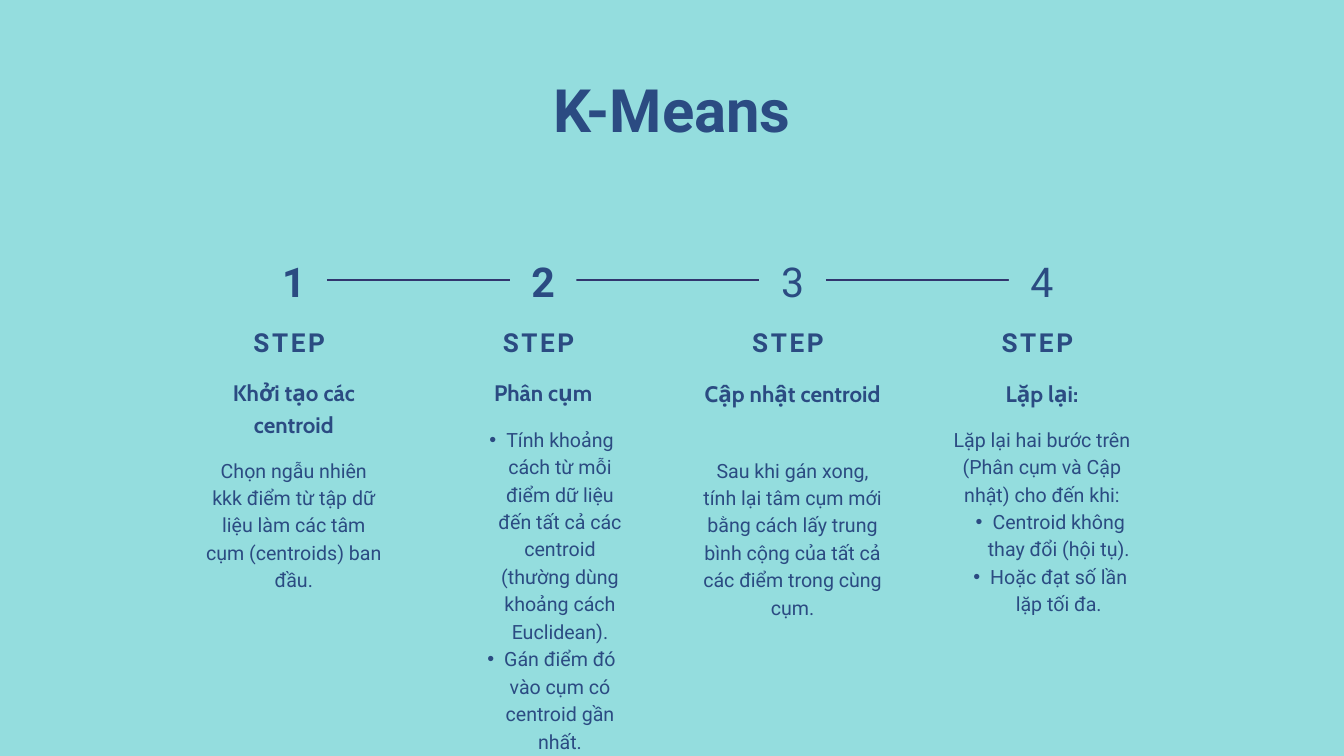
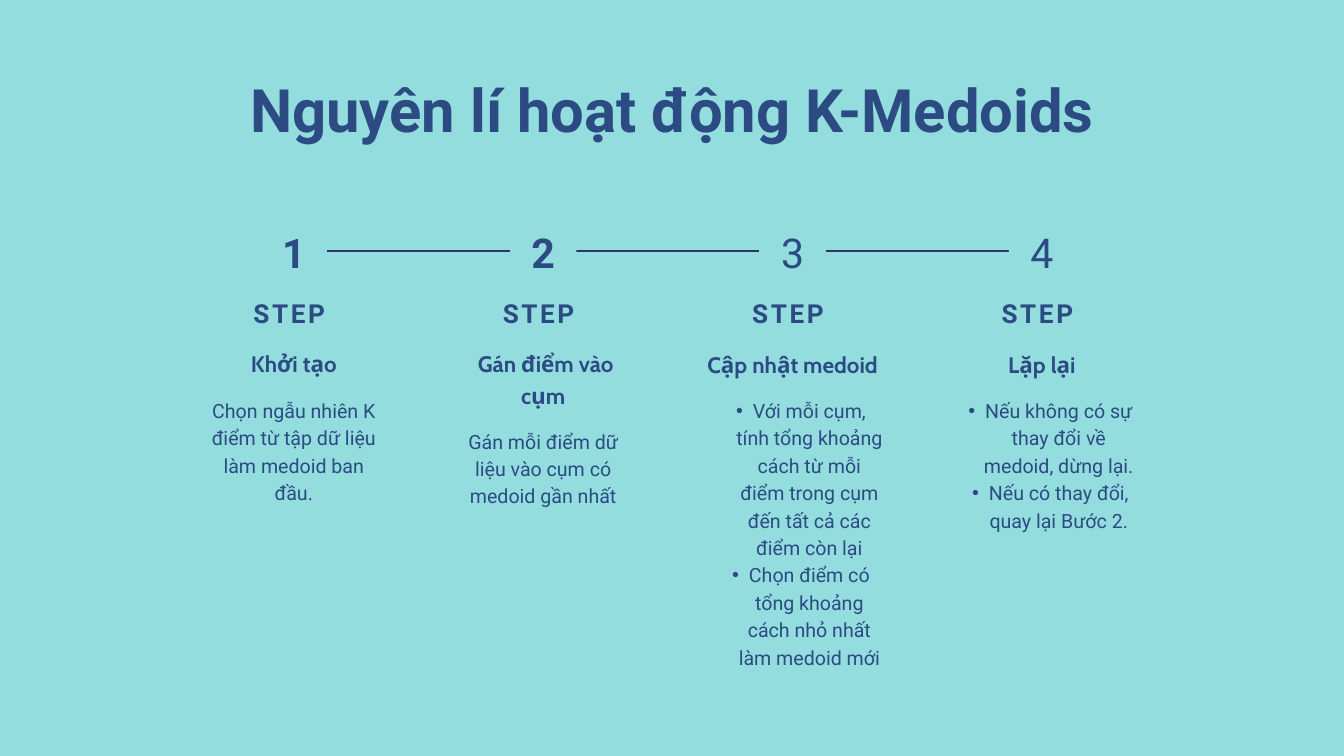
from dataclasses import dataclass

from lxml import etree
from pptx import Presentation
from pptx import util as u
from pptx.dml import color
from pptx.enum import shapes, text
from pptx.oxml import ns

Pt = u.Pt


@dataclass(frozen=True)
class TextStyle:
    size: float
    leading: float
    font: str = "Roboto"
    bold: bool = True
    tracking: float = 0


@dataclass(frozen=True)
class Theme:
    background: color.RGBColor = color.RGBColor(0x94, 0xDD, 0xDE)
    ink: color.RGBColor = color.RGBColor(0x2B, 0x4B, 0x82)
    rule: color.RGBColor = color.RGBColor(0x31, 0x35, 0x6E)
    rule_width: float = 2.25
    title: TextStyle = TextStyle(64, 67.2)
    numeral: TextStyle = TextStyle(44, 61.6, tracking=7.5)
    light_numeral: TextStyle = TextStyle(44, 61.6, bold=False, tracking=7.5)
    label: TextStyle = TextStyle(28, 39.2, tracking=2.8)
    heading: TextStyle = TextStyle(24, 33.6, font="Cabin")
    body: TextStyle = TextStyle(21, 29.4, bold=False)


@dataclass(frozen=True)
class Step:
    heading: str
    intro: str = ""
    bullets: tuple[str, ...] = ()
    heading_lines: int = 1


@dataclass(frozen=True)
class Process:
    title: str
    timeline_y: float
    steps: tuple[Step, ...]


THEME = Theme()

# Timeline grid, in points; vertical offsets are measured from the timeline
FIRST_CENTRE, PITCH = 314.8, 267.2
NUMERAL_WIDTH, NUMERAL_HEIGHT, PLATE_HEIGHT = 71, 76, 69.6
COLUMN_WIDTHS = (193.6, 189.4, 193.6, 211)
HEADING_DY = (101.4, 101.4, 102.2, 102.2)
NUMERAL_DY, PLATE_DY, LABEL_DY, BODY_DY = -41, -34.6, 44, 153.8
EXTRA_HEADING_LINE = 33

PROCESSES = (
    Process("K-Means", 300.2, (
        Step("Khởi tạo các centroid",
             "Chọn ngẫu nhiên kkk điểm từ tập dữ liệu làm các tâm cụm "
             "(centroids) ban đầu.", heading_lines=2),
        Step("Phân cụm", bullets=(
            "Tính khoảng cách từ mỗi điểm dữ liệu đến tất cả các centroid "
            "(thường dùng khoảng cách Euclidean).",
            "Gán điểm đó vào cụm có centroid gần nhất.")),
        Step("Cập nhật centroid",
             "Sau khi gán xong, tính lại tâm cụm mới bằng cách lấy trung bình "
             "cộng của tất cả các điểm trong cùng cụm.", heading_lines=2),
        Step("Lặp lại:",
             "Lặp lại hai bước trên (Phân cụm và Cập nhật) cho đến khi:",
             ("Centroid không thay đổi (hội tụ).",
              "Hoặc đạt số lần lặp tối đa.")),
    )),
    Process("Nguyên lí hoạt động K-Medoids", 269.2, (
        Step("Khởi tạo",
             "Chọn ngẫu nhiên K điểm từ tập dữ liệu làm medoid ban đầu."),
        Step(" Gán điểm vào cụm",
             "Gán mỗi điểm dữ liệu vào cụm có medoid gần nhất",
             heading_lines=2),
        Step("Cập nhật medoid", bullets=(
            "Với mỗi cụm, tính tổng khoảng cách từ mỗi điểm trong cụm đến "
            "tất cả các điểm còn lại",
            "Chọn điểm có tổng khoảng cách nhỏ nhất làm medoid mới")),
        Step("Lặp lại", bullets=(
            "Nếu không có sự thay đổi về medoid, dừng lại.",
            "Nếu có thay đổi, quay lại Bước 2.")),
    )),
)


def add_bullet(paragraph) -> None:
    paragraph.level = 1
    properties = paragraph._p.get_or_add_pPr()
    properties.set("marL", str(Pt(36)))
    properties.set("indent", str(-Pt(18)))
    etree.SubElement(properties, ns.qn("a:buFont")).set("typeface", "Arial")
    etree.SubElement(properties, ns.qn("a:buChar")).set("char", "•")


def write(frame, content: str, *, style: TextStyle, bullets: tuple[str, ...] = (),
          anchor=text.MSO_ANCHOR.TOP, grow: bool = True) -> None:
    """Fill a text frame with an optional plain paragraph, then bullets."""
    frame.word_wrap = True
    frame.auto_size = (text.MSO_AUTO_SIZE.SHAPE_TO_FIT_TEXT if grow
                       else text.MSO_AUTO_SIZE.NONE)
    frame.vertical_anchor = anchor
    frame.margin_left = frame.margin_right = 0
    frame.margin_top = frame.margin_bottom = 0
    lines = [(content, False)] if content else []
    lines += [(bullet, True) for bullet in bullets]
    for index, (line, bulleted) in enumerate(lines):
        paragraph = frame.add_paragraph() if index else frame.paragraphs[0]
        paragraph.alignment = text.PP_ALIGN.CENTER
        paragraph.line_spacing = Pt(style.leading)
        if bulleted:
            add_bullet(paragraph)
        run = paragraph.add_run()
        run.text = line
        run.font.name = style.font
        run.font.size = Pt(style.size)
        run.font.bold = style.bold
        run.font.color.rgb = THEME.ink
        if style.tracking:
            run._r.get_or_add_rPr().set("spc", str(round(style.tracking * 100)))


def add_centred_text(slide, content: str, centre: float, top: float, width: float,
                     height: float, **style) -> None:
    box = slide.shapes.add_textbox(Pt(centre - width / 2), Pt(top),
                                   Pt(width), Pt(height))
    write(box.text_frame, content, **style)


def add_timeline_link(slide, start: float, end: float, y: float) -> None:
    link = slide.shapes.add_connector(shapes.MSO_CONNECTOR.STRAIGHT,
                                      Pt(start), Pt(y), Pt(end), Pt(y))
    link.line.color.rgb = THEME.rule
    link.line.width = Pt(THEME.rule_width)
    etree.SubElement(link._element.spPr, ns.qn("a:effectLst"))


def add_numeral_plate(slide, centre: float, top: float) -> None:
    plate = slide.shapes.add_shape(
        shapes.MSO_SHAPE.RECTANGLE, Pt(centre - NUMERAL_WIDTH / 2), Pt(top),
        Pt(NUMERAL_WIDTH), Pt(PLATE_HEIGHT))
    plate.shadow.inherit = False
    plate.fill.solid()
    plate.fill.fore_color.rgb = THEME.background
    plate.line.fill.background()


def add_step(slide, step: Step, index: int, y: float) -> None:
    centre = FIRST_CENTRE + index * PITCH
    width = COLUMN_WIDTHS[index]
    extra = (step.heading_lines - 1) * EXTRA_HEADING_LINE
    # A plate ends the incoming link; the first two numerals are bold
    if index:
        add_numeral_plate(slide, centre, y + PLATE_DY)
    add_centred_text(slide, str(index + 1), centre, y + NUMERAL_DY,
                     NUMERAL_WIDTH, NUMERAL_HEIGHT,
                     style=THEME.numeral if index < 2 else THEME.light_numeral,
                     anchor=text.MSO_ANCHOR.MIDDLE, grow=False)
    add_centred_text(slide, "STEP ", centre, y + LABEL_DY, width, 37,
                     style=THEME.label)
    add_centred_text(slide, step.heading, centre, y + HEADING_DY[index], width,
                     31 + extra, style=THEME.heading)
    add_centred_text(slide, step.intro, centre, y + BODY_DY + extra, width, 144,
                     style=THEME.body, bullets=step.bullets)


def add_process_slide(deck, process: Process) -> None:
    slide = deck.slides.add_slide(deck.slide_layouts[5])
    title = slide.shapes.title
    title.left, title.top, title.width, title.height = (
        Pt(84.6), Pt(87.8), Pt(1270.8), Pt(70))
    write(title.text_frame, process.title, style=THEME.title, grow=False)

    # Links between neighbouring numerals
    for index in range(len(process.steps) - 1):
        start = FIRST_CENTRE + index * PITCH + NUMERAL_WIDTH / 2
        add_timeline_link(slide, start, start + PITCH - NUMERAL_WIDTH,
                          process.timeline_y)

    for index, step in enumerate(process.steps):
        add_step(slide, step, index, process.timeline_y)


def main() -> None:
    deck = Presentation()
    deck.slide_width, deck.slide_height = Pt(1440), Pt(810)
    # Shared background
    backdrop = deck.slide_master.background.fill
    backdrop.solid()
    backdrop.fore_color.rgb = THEME.background
    for process in PROCESSES:
        add_process_slide(deck, process)
    deck.save("out.pptx")


if __name__ == "__main__":
    main()
